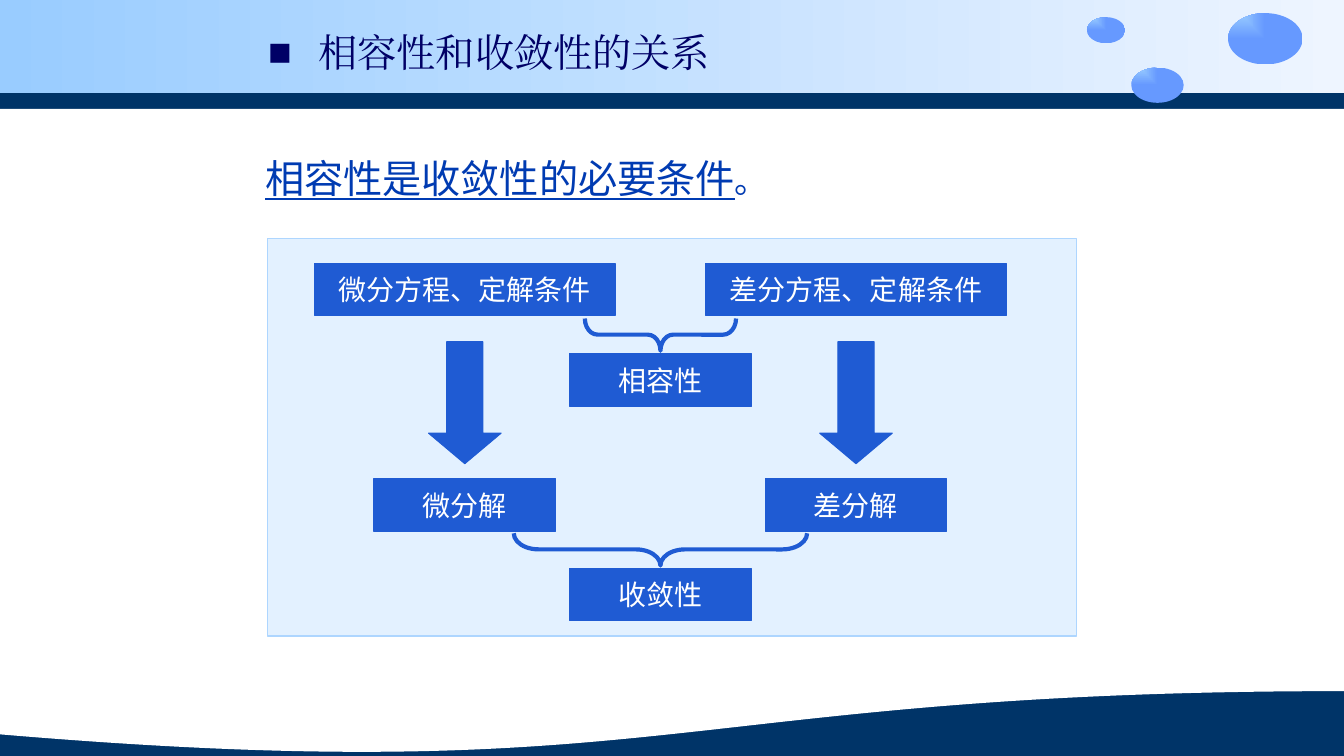
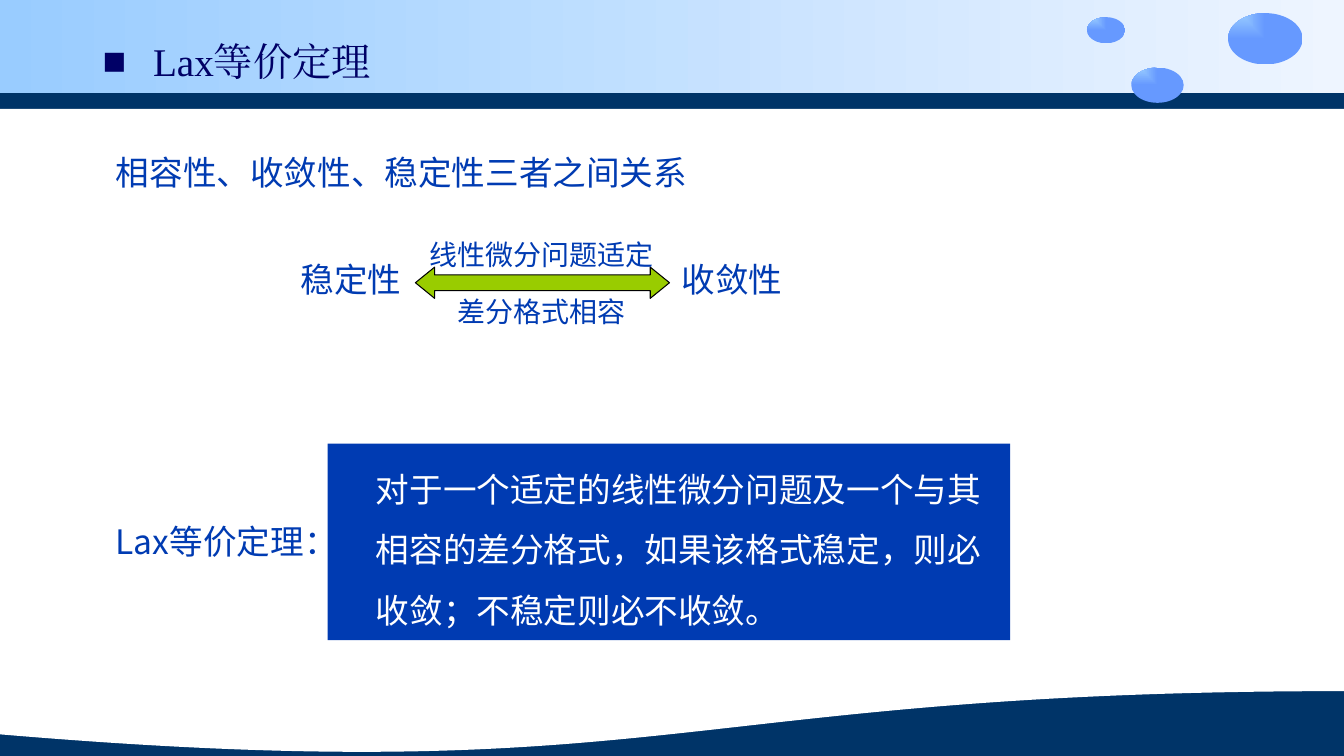
from lxml import etree
from pptx import Presentation
from pptx.dml.color import RGBColor
from pptx.enum.shapes import MSO_SHAPE
from pptx.enum.text import MSO_ANCHOR, PP_ALIGN
from pptx.oxml.ns import qn
from pptx.util import Inches, Pt

RECT = MSO_SHAPE.RECTANGLE
WAVE = MSO_SHAPE.FLOWCHART_DOCUMENT
OVAL = MSO_SHAPE.OVAL
DOWN_ARROW = MSO_SHAPE.DOWN_ARROW
DOUBLE_ARROW = MSO_SHAPE.LEFT_RIGHT_ARROW
BRACE = MSO_SHAPE.RIGHT_BRACE
LEFT, CENTER = PP_ALIGN.LEFT, PP_ALIGN.CENTER
TOP, MIDDLE = MSO_ANCHOR.TOP, MSO_ANCHOR.MIDDLE

COLORS = {
    "navy": "003468",
    "white": "FFFFFF",
    "sky": "99CCFF",
    "mist": "EEF5FF",
    "bubble": "6699FF",
    "panel": "AED6FF",
    "node": "1F5BD3",
    "blue": "003BB2",
    "title": "000066",
    "green": "99CC00",
    "black": "000000",
}
SANS = "Noto Sans CJK SC"
SERIF = "Times New Roman"
WIDTH, HEIGHT = 13.33, 7.5
BUBBLES = [
    (10.78, 0.17, 0.38, 0.26),
    (11.22, 0.67, 0.52, 0.35),
    (12.18, 0.13, 0.74, 0.51),
]


def rgb(name):
    return RGBColor.from_string(COLORS[name])


def add_shape(slide, kind, box, fill=None, line=None, line_width=0.75, adjust=()):
    sp = slide.shapes.add_shape(kind, *[Inches(v) for v in box])
    sp.shadow.inherit = False
    if fill:
        sp.fill.solid()
        sp.fill.fore_color.rgb = rgb(fill)
    else:
        sp.fill.background()
    if line:
        sp.line.color.rgb = rgb(line)
        sp.line.width = Pt(line_width)
    else:
        sp.line.fill.background()
    for i, value in enumerate(adjust):
        sp.adjustments[i] = value
    return sp


def set_gradient(sp, start, end, from_corner=False):
    sp.fill.gradient()
    sp.fill.gradient_angle = 0
    for stop, name in zip(sp.fill.gradient_stops, (start, end)):
        stop.color.rgb = rgb(name)
    if from_corner:
        grad = sp._element.spPr.find(qn("a:gradFill"))
        grad.remove(grad.find(qn("a:lin")))
        shade = etree.SubElement(grad, qn("a:path"), {"path": "rect"})
        etree.SubElement(shade, qn("a:fillToRect"), {"r": "100000", "b": "100000"})


def add_run(p, text, size, color, font=SANS, underline=None):
    r = p.add_run()
    r.text = text
    r.font.size = Pt(size)
    r.font.name = font
    r.font.color.rgb = rgb(color)
    r.font.underline = underline
    etree.SubElement(r._r.get_or_add_rPr(), qn("a:ea"), {"typeface": font})


def start_text(sp, align=LEFT, anchor=MIDDLE):
    tf = sp.text_frame
    tf.word_wrap = True
    tf.vertical_anchor = anchor
    p = tf.paragraphs[0]
    p.alignment = align
    return p


def add_text(slide, box, text, size, align=LEFT):
    sp = slide.shapes.add_textbox(*[Inches(v) for v in box])
    add_run(start_text(sp, align), text, size, "blue")


def add_frame(slide):
    slide.background.fill.solid()
    slide.background.fill.fore_color.rgb = rgb("navy")
    band = add_shape(slide, RECT, (0, 0, WIDTH, 0.92))
    set_gradient(band, "sky", "mist")
    add_shape(slide, RECT, (0, 1.08, WIDTH, 4), "white")
    add_shape(slide, WAVE, (0, 4.25, WIDTH, 3.25), "white")
    for box in BUBBLES:
        set_gradient(add_shape(slide, OVAL, box), "sky", "bubble", True)


def add_title(slide, box, text):
    sp = slide.shapes.add_textbox(*[Inches(v) for v in box])
    p = start_text(sp)
    pPr = p._p.get_or_add_pPr()
    pPr.set("marL", str(Inches(0.5)))
    pPr.set("indent", str(-Inches(0.5)))
    etree.SubElement(pPr, qn("a:buFont"), {"typeface": SERIF})
    etree.SubElement(pPr, qn("a:buChar"), {"char": "■"})
    add_run(p, text, 28, "title", SERIF)


def add_node(slide, center, top, width, text):
    box = (center - width / 2, top, width, 0.52)
    sp = add_shape(slide, RECT, box, "node", "node")
    add_run(start_text(sp, CENTER), text, 20, "white")


def add_down_brace(slide, center, top, span, curve):
    depth = 0.32
    box = (center - depth / 2, top + (depth - span) / 2, depth, span)
    sp = add_shape(slide, BRACE, box, None, "node", 3, (curve, 0.5))
    sp.rotation = 90


def add_relation_diagram(slide, box):
    x, y, w, h = box
    panel = add_shape(slide, RECT, box, "panel", "panel")
    color = panel._element.spPr.find(qn("a:solidFill"))[0]
    etree.SubElement(color, qn("a:alpha"), {"val": "34000"})

    middle = x + 3.9
    for center, kind in ((middle - 1.94, "微分"), (middle + 1.94, "差分")):
        add_node(slide, center, y + 0.24, 2.98, kind + "方程、定解条件")
        add_node(slide, center, y + 2.38, 1.8, kind + "解")
        add_shape(slide, DOWN_ARROW, (center - 0.36, y + 1.02, 0.72, 1.21),
                  "node", "node", adjust=(0.5, 0.42))
    for top, span, curve, text in ((0.79, 1.5, 0.395, "相容性"),
                                   (2.92, 2.91, 0.768, "收敛性")):
        add_down_brace(slide, middle, y + top, span, curve)
        add_node(slide, middle, y + top + 0.35, 1.8, text)


def add_equivalence(slide, box):
    x, y, w, h = box
    side = 1.5
    add_shape(slide, DOUBLE_ARROW, (x + 1.39, y + 0.32, 2.52, 0.31),
              "green", "black", adjust=(0.5, 0.615))
    add_text(slide, (x, y, side, h), "稳定性", 24, CENTER)
    add_text(slide, (x + w - side, y, side, h), "收敛性", 24, CENTER)
    for top, text in ((0, "线性微分问题适定"), (0.57, "差分格式相容")):
        add_text(slide, (x + w / 2 - 1.3, y + top - 0.01, 2.6, 0.4), text, 20, CENTER)


def add_theorem(slide, box, text):
    sp = add_shape(slide, RECT, box, "blue")
    p = start_text(sp, anchor=TOP)
    p.line_spacing = 1.5
    p._p.get_or_add_pPr().set("marL", str(Inches(0.38)))
    add_run(p, text, 24, "white")


def build_relation_slide(slide):
    add_frame(slide)
    add_relation_diagram(slide, (2.65, 2.37, 8.03, 3.94))
    sp = slide.shapes.add_textbox(Inches(2.53), Inches(1.48), Inches(8.59), Inches(0.57))
    p = start_text(sp)
    add_run(p, "相容性是收敛性的必要条件", 28, "blue", underline=True)
    add_run(p, "。", 24, "blue")
    add_title(slide, (2.56, 0.23, 4.89, 0.57), "相容性和收敛性的关系")


def build_theorem_slide(slide):
    add_frame(slide)
    add_title(slide, (0.92, 0.31, 4.02, 0.59), "Lax等价定理")
    add_text(slide, (1.05, 1.46, 6.22, 0.5), "相容性、收敛性、稳定性三者之间关系", 24)
    add_equivalence(slide, (2.73, 2.33, 5.28, 0.87))
    add_theorem(slide, (3.25, 4.4, 6.77, 1.95),
                "对于一个适定的线性微分问题及一个与其相容的差分格式，"
                "如果该格式稳定，则必收敛；不稳定则必不收敛。")
    add_text(slide, (1.05, 5.12, 2.3, 0.5), "Lax等价定理：", 24)


def main():
    prs = Presentation()
    prs.slide_width, prs.slide_height = Inches(WIDTH), Inches(HEIGHT)
    for build in (build_relation_slide, build_theorem_slide):
        build(prs.slides.add_slide(prs.slide_layouts[6]))
    prs.save("out.pptx")


if __name__ == "__main__":
    main()
